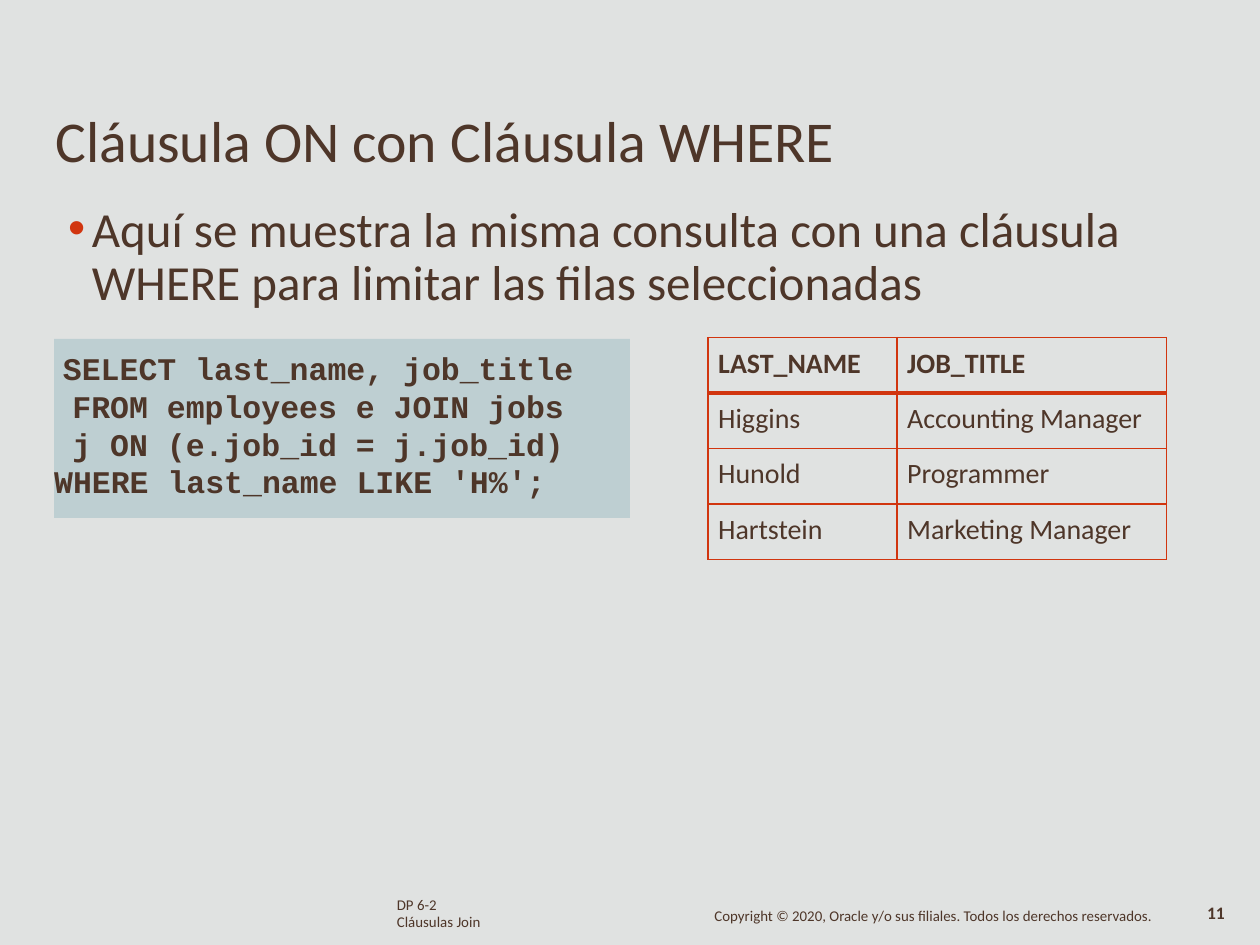
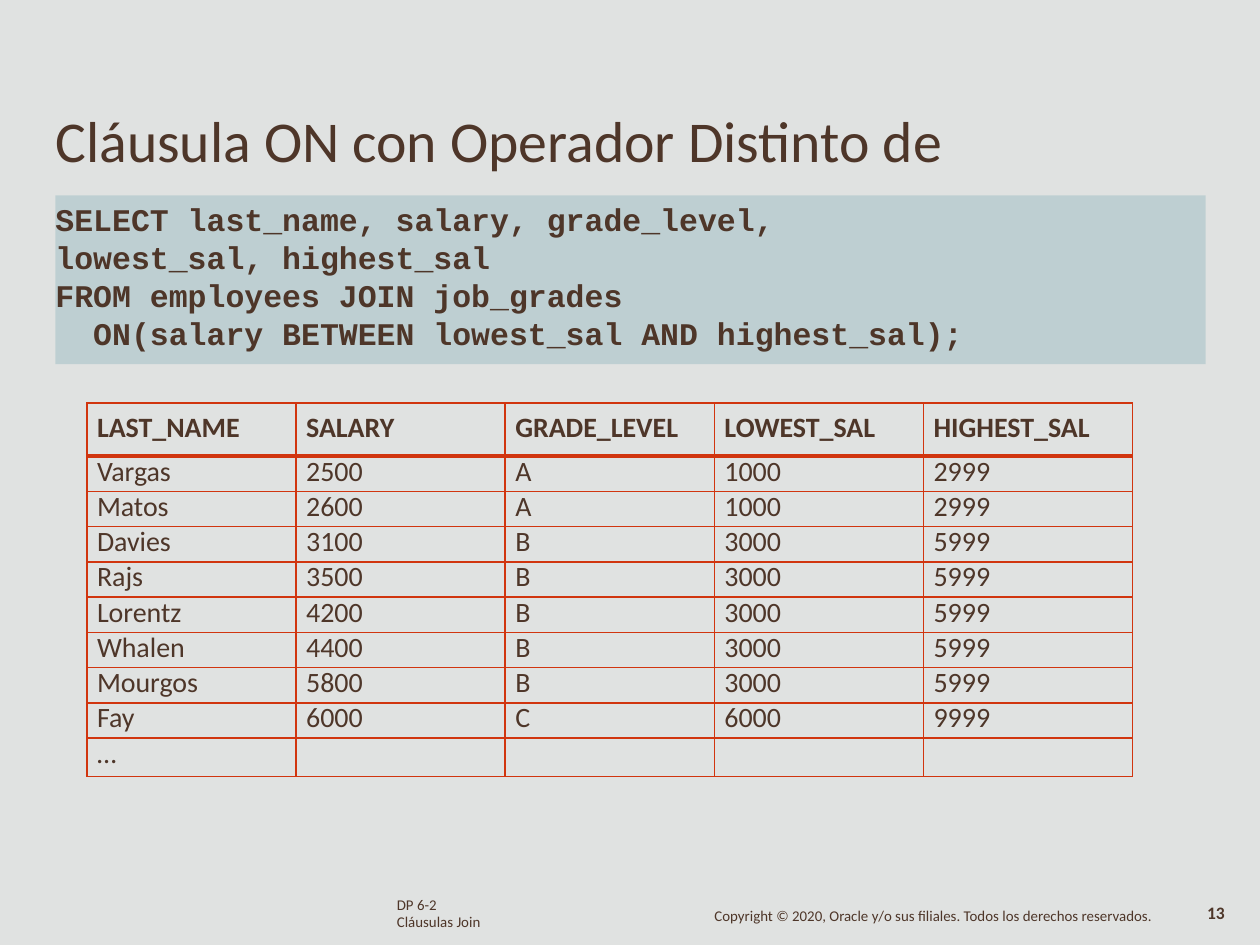
from lxml.etree import SubElement
from pptx import Presentation
from pptx.dml.color import RGBColor
from pptx.enum.shapes import MSO_SHAPE
from pptx.enum.text import MSO_ANCHOR, MSO_AUTO_SIZE, PP_ALIGN
from pptx.oxml import parse_xml
from pptx.oxml.ns import nsdecls, qn
from pptx.util import Inches, Pt

COLORS = {"background": "E0E2E1", "text": "4E3629", "accent": "D1350F", "code": "9DBEC4"}
BODY_FONT = "Calibri"
CODE_FONT = "Courier New"


def color(name):
    return RGBColor.from_string(COLORS[name])


def write(p, text, size=16, font=BODY_FONT, bold=False, align=PP_ALIGN.LEFT, spacing=None):
    """Fill a paragraph with formatted text; newlines become line breaks."""
    p.alignment = align
    p.space_before = Pt(0)
    if spacing:
        p.line_spacing = Pt(spacing)
    for i, line in enumerate(text.split("\n")):
        if i:
            p.add_line_break()
        if line:
            r = p.add_run()
            r.text = line
            r.font.size = Pt(size)
            r.font.name = font
            r.font.bold = bold
            r.font.color.rgb = color("text")


def set_frame(tf, top=0, left=0, right=0):
    tf.word_wrap = True
    tf.auto_size = MSO_AUTO_SIZE.NONE
    tf.vertical_anchor = MSO_ANCHOR.TOP
    tf.margin_left, tf.margin_right = Inches(left), Inches(right)
    tf.margin_top, tf.margin_bottom = Inches(top), 0


def add_text(s, box, text, top=0, **fmt):
    sp = s.shapes.add_textbox(*map(Inches, box))
    set_frame(sp.text_frame, top)
    p = sp.text_frame.paragraphs[0]
    write(p, text, **fmt)
    return sp


def set_indent(p, left, first=0):
    pPr = p._p.get_or_add_pPr()
    pPr.set("marL", str(Inches(left)))
    pPr.set("indent", str(Inches(first)))
    return pPr


def add_bullet(s, box, text):
    sp = add_text(s, box, text, top=0.07, size=28, spacing=30.3)
    pPr = set_indent(sp.text_frame.paragraphs[0], 0.2, -0.19)
    bu_color = SubElement(pPr, qn("a:buClr"))
    SubElement(bu_color, qn("a:srgbClr"), val=COLORS["accent"])
    SubElement(pPr, qn("a:buFont"), typeface="Arial")
    SubElement(pPr, qn("a:buChar"), char="•")


def add_code(s, box, lines, top, right=0):
    """Draw a code panel from (text, alignment, indent) paragraphs."""
    sp = s.shapes.add_shape(MSO_SHAPE.RECTANGLE, *map(Inches, box))
    sp.shadow.inherit = False
    sp.line.fill.background()
    sp.fill.solid()
    sp.fill.fore_color.rgb = color("code")
    fill = sp.fill._xPr.find(qn("a:solidFill"))
    SubElement(fill[0], qn("a:alpha"), val="50000")
    tf = sp.text_frame
    set_frame(tf, top, right=right)
    for i, (text, align, indent) in enumerate(lines):
        p = tf.add_paragraph() if i else tf.paragraphs[0]
        write(p, text, size=18, font=CODE_FONT, bold=True, align=align)
        set_indent(p, indent)


def set_borders(cell, top, bottom):
    tcPr = cell._tc.get_or_add_tcPr()
    widths = {"L": 1, "R": 1, "T": top, "B": bottom}
    for i, (side, width) in enumerate(widths.items()):
        tcPr.insert(i, parse_xml(
            f'<a:ln{side} {nsdecls("a")} w="{Pt(width)}"><a:solidFill>'
            f'<a:srgbClr val="{COLORS["accent"]}"/></a:solidFill></a:ln{side}>'))


def add_table(s, left, top, widths, heights, rows, header_top, body_top, spacing=None):
    frame = s.shapes.add_table(len(rows), len(widths), Inches(left), Inches(top),
                               Inches(sum(widths)), Inches(sum(heights)))
    tbl = frame.table
    tbl.horz_banding = False
    for col, width in zip(tbl.columns, widths):
        col.width = Inches(width)
    for i, (row, height, values) in enumerate(zip(tbl.rows, heights, rows)):
        row.height = Inches(height)
        header = i == 0
        for cell, value in zip(row.cells, values):
            cell.margin_left, cell.margin_right = Inches(0.08), 0
            cell.margin_top, cell.margin_bottom = Inches(header_top if header else body_top), 0
            cell.fill.background()
            set_borders(cell, top=2.25 if i == 1 else 1, bottom=2.25 if header else 1)
            write(cell.text_frame.paragraphs[0], value, bold=header,
                  spacing=None if header else spacing)


def add_slide(prs, title, number):
    """Start a slide with the shared title and footer."""
    s = prs.slides.add_slide(prs.slide_layouts[5])
    sp = s.shapes.title
    sp.left, sp.top, sp.width, sp.height = map(Inches, (0.43, 0.82, 7.08, 0.58))
    set_frame(sp.text_frame, top=0.01, left=0.01)
    write(sp.text_frame.paragraphs[0], title, size=33)

    # Footer
    course = add_text(s, (3.15, 7.13, 0.9, 0.27), "DP 6-2", size=8.5, spacing=8.6)
    write(course.text_frame.add_paragraph(), "Cláusulas Join", size=8.5, spacing=9.7)
    add_text(s, (9.58, 7.18, 0.25, 0.17), str(number), size=10, bold=True, spacing=10.4)
    add_text(s, (5.67, 7.21, 3.6, 0.15),
             "Copyright © 2020, Oracle y/o sus filiales. Todos los derechos reservados.",
             size=8.5, spacing=9.1)
    return s


def build_where_slide(prs):
    s = add_slide(prs, "Cláusula ON con Cláusula WHERE", 11)
    add_bullet(s, (0.53, 1.55, 8.38, 0.91),
               "Aquí se muestra la misma consulta con una cláusula "
               "WHERE para limitar las filas seleccionadas")
    rows = [("LAST_NAME", "JOB_TITLE"),
            ("Higgins", "Accounting Manager"),
            ("Hunold", "Programmer"),
            ("Hartstein", "Marketing Manager")]
    add_table(s, 5.62, 2.68, [1.5, 2.14], [0.44] * len(rows), rows,
              header_top=0.07, body_top=0.07)
    query = "SELECT last_name, job_title\nFROM employees e JOIN jobs\nj ON (e.job_id = j.job_id)"
    add_code(s, (0.43, 2.69, 4.57, 1.42),
             [(query, PP_ALIGN.CENTER, 0),
              ("WHERE last_name LIKE 'H%';", PP_ALIGN.LEFT, 0)],
             top=0.08, right=0.38)


def build_between_slide(prs):
    s = add_slide(prs, "Cláusula ON con Operador Distinto de", 13)
    add_code(s, (0.44, 1.55, 9.13, 1.34),
             [("SELECT last_name, salary, grade_level,\nlowest_sal, highest_sal",
               PP_ALIGN.LEFT, 0),
              ("FROM employees JOIN job_grades", PP_ALIGN.LEFT, 0),
              ("ON(salary BETWEEN lowest_sal AND highest_sal);", PP_ALIGN.LEFT, 0.3)],
             top=0.04)

    # Each grade fixes its salary range
    grades = {"A": ("1000", "2999"), "B": ("3000", "5999"), "C": ("6000", "9999")}
    employees = [("Vargas", "2500", "A"), ("Matos", "2600", "A"), ("Davies", "3100", "B"),
                 ("Rajs", "3500", "B"), ("Lorentz", "4200", "B"), ("Whalen", "4400", "B"),
                 ("Mourgos", "5800", "B"), ("Fay", "6000", "C")]
    rows = [("LAST_NAME", "SALARY", "GRADE_LEVEL", "LOWEST_SAL", "HIGHEST_SAL"),
            *[(*employee, *grades[employee[2]]) for employee in employees],
            ("…", "", "", "", "")]
    add_table(s, 0.69, 3.2, [1.66] * 5, [0.42] + [0.28] * (len(rows) - 1), rows,
              header_top=0.06, body_top=0, spacing=18.6)


def main():
    prs = Presentation()
    prs.slide_width, prs.slide_height = Inches(10), Inches(7.5)
    background = prs.slide_master.background.fill
    background.solid()
    background.fore_color.rgb = color("background")
    build_where_slide(prs)
    build_between_slide(prs)
    prs.save("out.pptx")


if __name__ == "__main__":
    main()
